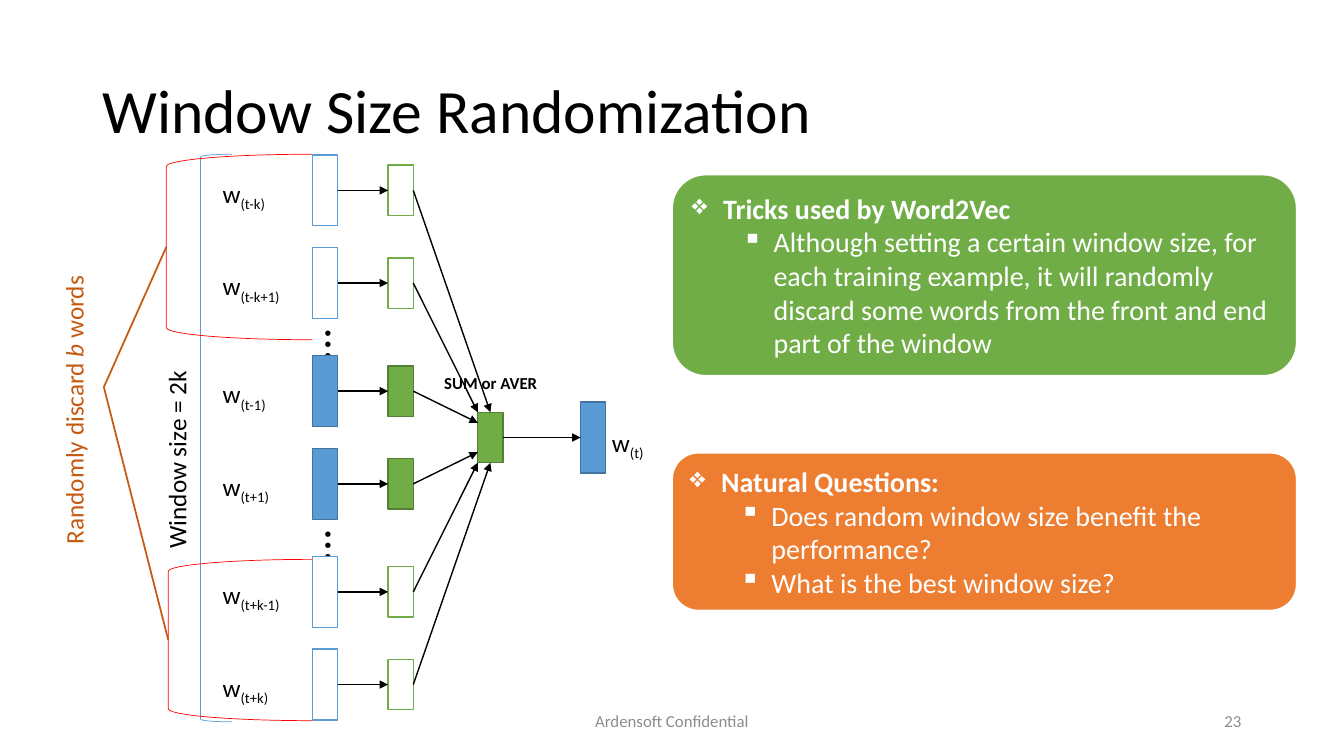
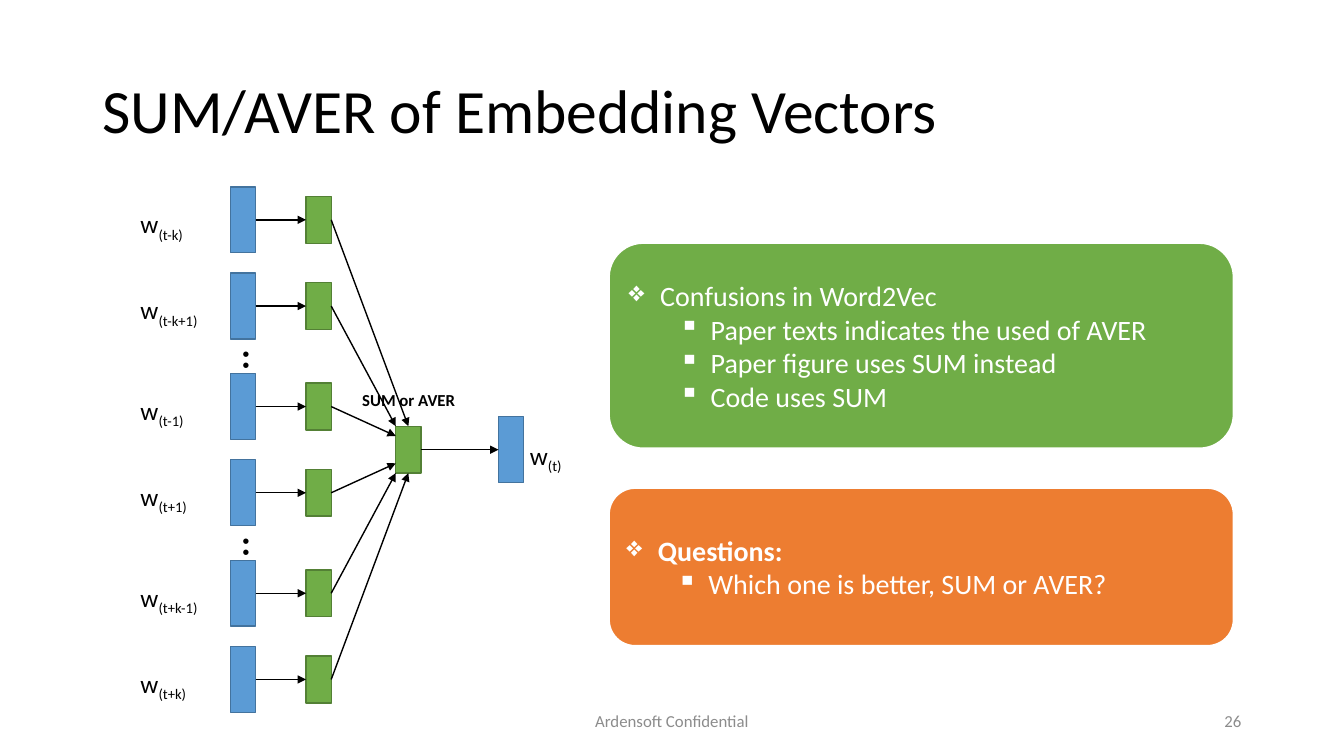
from copy import deepcopy

from lxml import etree
from pptx import Presentation
from pptx.dml.color import RGBColor
from pptx.enum.shapes import MSO_CONNECTOR, MSO_SHAPE, PP_PLACEHOLDER
from pptx.enum.text import MSO_ANCHOR, MSO_AUTO_SIZE, PP_ALIGN
from pptx.oxml.ns import qn
from pptx.util import Pt

LEFT, CENTER, RIGHT = PP_ALIGN.LEFT, PP_ALIGN.CENTER, PP_ALIGN.RIGHT
MIDDLE = MSO_ANCHOR.MIDDLE
NO_FIT, GROW = MSO_AUTO_SIZE.NONE, MSO_AUTO_SIZE.SHAPE_TO_FIT_TEXT
RECT, ROUNDED = MSO_SHAPE.RECTANGLE, MSO_SHAPE.ROUNDED_RECTANGLE
BRACKET = MSO_SHAPE.LEFT_BRACKET
STRAIGHT = MSO_CONNECTOR.STRAIGHT
FOOTER, NUMBER = PP_PLACEHOLDER.FOOTER, PP_PLACEHOLDER.SLIDE_NUMBER

# Shared look
FONT = "Calibri"
BLACK, WHITE, GRAY, RED = "000000", "FFFFFF", "8C8C8C", "FF0000"
BLUE, DARK_BLUE = "5B9BD5", "43739E"
GREEN, DARK_GREEN = "70AD47", "538035"
ORANGE, RUST = "ED7D31", "C55A11"
TITLE_AREA = (66, 28.8, 828, 104.4)
FOOTER_AREA = (318, 500.5, 324, 28.8)
NUMBER_AREA = (678, 500.5, 216, 28.8)
FOOTER_TEXT = "Ardensoft Confidential"

# Content
WORDS = ["(t-k)", "(t-k+1)", "(t-1)", "(t+1)", "(t+k-1)", "(t+k)"]
SLIDES = [
    {
        "title": "Window Size Randomization",
        "number": "23",
        "network": {"left": 223.2, "middle": 312.5, "scale": 1,
                    "discarded": {0, 1, 4, 5}},
        "cards": [
            ((480, 124.6, 446.4, 144), GREEN, "Tricks used by Word2Vec", True,
             ["Although setting a certain window size, for each training "
              "example, it will randomly discard some words from the front "
              "and end part of the window"]),
            ((480, 323.3, 446.4, 113), ORANGE, "Natural Questions:", True,
             ["Does random window size benefit the performance?",
              "What is the best window size?"]),
        ],
    },
    {
        "title": "SUM/AVER of Embedding Vectors",
        "number": "26",
        "network": {"left": 164.6, "middle": 321.2, "scale": 0.93,
                    "discarded": set()},
        "cards": [
            ((434.9, 173.5, 446.4, 146.9), GREEN, "Confusions in Word2Vec",
             False,
             ["Paper texts indicates the used of AVER",
              "Paper figure uses SUM instead",
              "Code uses SUM"]),
            ((434.9, 348.5, 446.4, 113), ORANGE, "Questions:", True,
             ["Which one is better, SUM or AVER?"]),
        ],
    },
]

# Window annotations: brackets, upright captions, and the lines joining them
BRACKETS = [
    ((143.3, 110.2, 22.3, 405.4), BLUE),
    ((118.8, 110.2, 104.4, 132.5), RED),
    ((120.2, 399.6, 103, 115.2), RED),
]
CAPTIONS = [
    ((111.6, 207.4, 36, 191.5), BLACK, [("Window size = 2k", False)]),
    ((38.2, 157, 36, 239), RUST,
     [("Randomly discard ", False), ("b", True), (" words", False)]),
]
DISCARD_TIP = (74.2, 276.5)
DISCARD_ENDS = [(118.8, 176.4), (120.2, 457.2)]

# Network geometry, relative to the word column and the middle row
BOX_WIDTH = 18
WORD_HALF, VECTOR_HALF = 25.3, 18
LABEL_X, VECTOR_X, SUM_X, OUTPUT_X = -71.3, 54, 118.1, 191.5
PAIR_PITCH, GROUP_PITCH = 66.2, 143.4
ROWS = [group * GROUP_PITCH + side * PAIR_PITCH / 2
        for group in (-1, 0, 1) for side in (-1, 1)]
SUM_PORTS = [(9, -18), (0, -18), (0, -10.5), (0, 10.5), (0, 18), (9, 18)]


def color(hex_string):
    return RGBColor.from_string(hex_string)


def place(shape, area):
    shape.left, shape.top, shape.width, shape.height = map(Pt, area)


def style(paragraph, size, hex_string, align=LEFT, bold=False):
    paragraph.alignment = align
    font = paragraph.font
    font.name, font.size, font.bold = FONT, Pt(size), bold
    font.color.rgb = color(hex_string)


def add_shape(slide, kind, area, fill=None, line=None, weight=1):
    shape = slide.shapes.add_shape(kind, *map(Pt, area))
    shape.shadow.inherit = False
    if fill:
        shape.fill.solid()
        shape.fill.fore_color.rgb = color(fill)
    else:
        shape.fill.background()
    if line:
        shape.line.color.rgb = color(line)
        shape.line.width = Pt(weight)
    else:
        shape.line.fill.background()
    return shape


def add_line(slide, start, end, hex_string=BLACK, weight=1, arrow=True):
    line = slide.shapes.add_connector(STRAIGHT, *map(Pt, start + end))
    line.line.color.rgb = color(hex_string)
    line.line.width = Pt(weight)
    properties = line._element.spPr
    if arrow:
        outline = properties.find(qn("a:ln"))
        etree.SubElement(outline, qn("a:tailEnd"), type="triangle")
    etree.SubElement(properties, qn("a:effectLst"))


def add_text(slide, area, vertical=False):
    box = slide.shapes.add_textbox(*map(Pt, area))
    frame = box.text_frame
    frame.word_wrap = True
    frame.auto_size = GROW
    if vertical:
        frame._txBody.bodyPr.set("vert", "eaVert")
    return box, frame.paragraphs[0]


def add_word_label(slide, x, y, position):
    _, label = add_text(slide, (x, y, 79.2, 27))
    style(label, 18, BLACK)
    label.add_run().text = "w"
    subscript = label.add_run()
    subscript.text = position
    subscript._r.get_or_add_rPr().set("baseline", "-25000")


def add_network(slide, left, middle, scale, discarded):
    def at(x, y):
        return left + x, middle + y * scale

    def add_box(x, y, half, fill, line):
        add_shape(slide, RECT,
                  (*at(x, y - half), BOX_WIDTH, 2 * half * scale), fill, line)

    # Labels
    for row, word in zip(ROWS, WORDS):
        add_word_label(slide, *at(LABEL_X, row - 12.5), word)
    add_word_label(slide, *at(OUTPUT_X + 15.3, -11), "(t)")
    operation = add_shape(slide, RECT, (*at(87, -49.7), 87, 20), WHITE)
    operation.text_frame.word_wrap = True
    operation.text_frame.vertical_anchor = MSO_ANCHOR.TOP
    operation.text_frame.text = "SUM or AVER"
    style(operation.text_frame.paragraphs[0], 12, BLACK, bold=True)
    for gap in (-GROUP_PITCH / 2, GROUP_PITCH / 2):
        _, dots = add_text(slide, (*at(-8.3, gap - 12.2), 53.3, 24.5 * scale),
                           vertical=True)
        dots.text = "…"
        style(dots, 32, BLACK)

    # Boxes
    for index, row in enumerate(ROWS):
        hollow = index in discarded
        add_box(0, row, WORD_HALF,
                *((WHITE, BLUE) if hollow else (BLUE, DARK_BLUE)))
        add_box(VECTOR_X, row, VECTOR_HALF,
                *((WHITE, GREEN) if hollow else (GREEN, DARK_GREEN)))
    add_box(SUM_X, 0, VECTOR_HALF, GREEN, DARK_GREEN)
    add_box(OUTPUT_X, 0, WORD_HALF, BLUE, DARK_BLUE)

    # Arrows
    for row, (port_x, port_y) in zip(ROWS, SUM_PORTS):
        add_line(slide, at(BOX_WIDTH, row), at(VECTOR_X, row))
        add_line(slide, at(VECTOR_X + BOX_WIDTH, row),
                 at(SUM_X + port_x, port_y))
    add_line(slide, at(SUM_X + BOX_WIDTH, 0), at(OUTPUT_X, 0))


def add_window_notes(slide):
    for area, hex_string in BRACKETS:
        add_shape(slide, BRACKET, area, line=hex_string, weight=0.5)
    for area, hex_string, parts in CAPTIONS:
        box, caption = add_text(slide, area, vertical=True)
        box.rotation = 180
        style(caption, 18, hex_string, CENTER)
        for words, italic in parts:
            run = caption.add_run()
            run.text, run.font.italic = words, italic
    for end in DISCARD_ENDS:
        add_line(slide, end, DISCARD_TIP, RUST, 1.25, arrow=False)


def add_card(slide, area, fill, heading, bold, points):
    card = add_shape(slide, ROUNDED, area, fill, WHITE, 1.5)
    frame = card.text_frame
    frame.word_wrap = True
    frame.vertical_anchor = MIDDLE
    items = [(heading, bold, 0, 22.5, "❖")]
    items += [(point, False, 1, 58.5, "▪") for point in points]
    for index, (words, strong, level, margin, bullet) in enumerate(items):
        paragraph = frame.add_paragraph() if index else frame.paragraphs[0]
        paragraph.text, paragraph.level = words, level
        style(paragraph, 20, WHITE, bold=strong)
        properties = paragraph._p.get_or_add_pPr()
        properties.set("marL", str(Pt(margin)))
        properties.set("indent", str(Pt(-22.5)))
        mark = etree.Element(qn("a:buChar"), char=bullet)
        properties.insert_element_before(mark, "a:tabLst", "a:defRPr")


def prepare_layout(layout):
    areas = {FOOTER: FOOTER_AREA, NUMBER: NUMBER_AREA}
    place(layout.placeholders[0], TITLE_AREA)
    for holder in layout.placeholders:
        if holder.placeholder_format.type in areas:
            place(holder, areas[holder.placeholder_format.type])


def add_frame(slide, title, number):
    heading = slide.shapes.title.text_frame
    heading.text = title
    heading.vertical_anchor = MIDDLE
    heading.auto_size = NO_FIT
    style(heading.paragraphs[0], 44, BLACK)
    heading.paragraphs[0].line_spacing = 0.9

    footers = {FOOTER: (FOOTER_TEXT, CENTER), NUMBER: (number, RIGHT)}
    for holder in slide.slide_layout.placeholders:
        if holder.placeholder_format.type in footers:
            words, align = footers[holder.placeholder_format.type]
            slide.shapes._spTree.append(deepcopy(holder._element))
            frame = slide.shapes[-1].text_frame
            frame.text = words
            frame.vertical_anchor = MIDDLE
            style(frame.paragraphs[0], 12, GRAY, align)


def main():
    deck = Presentation()
    deck.slide_width, deck.slide_height = Pt(960), Pt(540)
    layout = deck.slide_layouts[5]
    prepare_layout(layout)
    for content in SLIDES:
        slide = deck.slides.add_slide(layout)
        add_frame(slide, content["title"], content["number"])
        if content["network"]["discarded"]:
            add_window_notes(slide)
        for card in content["cards"]:
            add_card(slide, *card)
        add_network(slide, **content["network"])
    deck.save("out.pptx")


if __name__ == "__main__":
    main()
